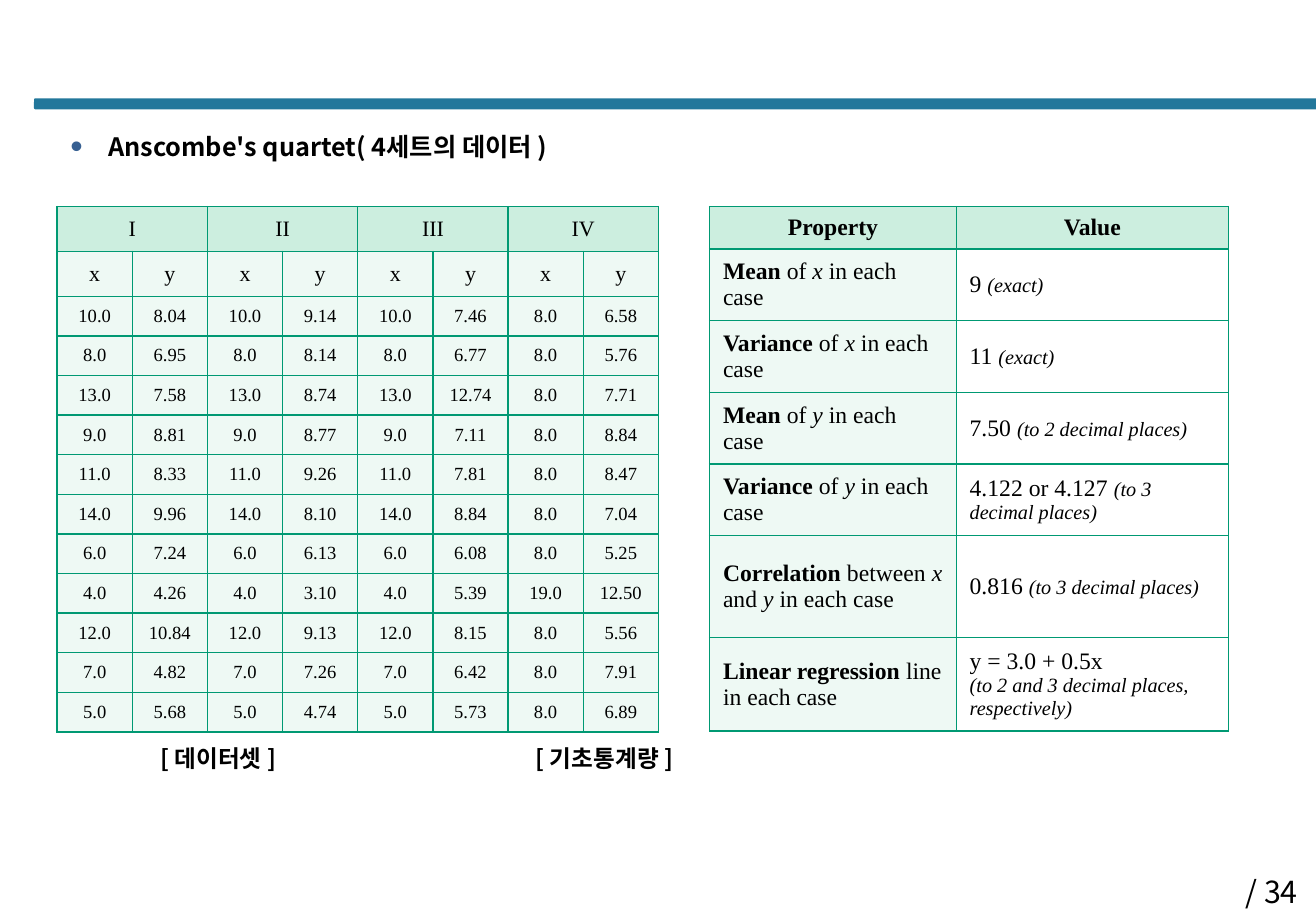
from pptx import Presentation
from pptx import util as u
from pptx.dml.color import RGBColor
from pptx.enum import shapes, text
from pptx.oxml import parse_xml
from pptx.oxml.ns import nsdecls, qn

GOTHIC, SERIF = "Noto Sans CJK KR", "Times New Roman"
BLACK, BAR, BULLET = "000000", "22779B", "376092"
BORDER, HEADER, BODY = "009973", "CCEEDF", "EEF9F4"
LEFT, CENTER, RIGHT = text.PP_ALIGN.LEFT, text.PP_ALIGN.CENTER, text.PP_ALIGN.RIGHT


def color(code):
    return RGBColor.from_string(code)


class Page:
    def __init__(self, slide):
        self.slide = slide

    def format_run(self, run, size, font=GOTHIC, bold=False, italic=False):
        run.font.size = u.Pt(size)
        run.font.name = font
        run.font.bold = bold
        run.font.italic = italic
        run.font.color.rgb = color(BLACK)
        east_asian = run.font._element.makeelement(qn("a:ea"), {"typeface": font})
        run.font._element.append(east_asian)

    def set_insets(self, target, left, top, right, bottom):
        target.margin_left, target.margin_top = u.Inches(left), u.Inches(top)
        target.margin_right, target.margin_bottom = u.Inches(right), u.Inches(bottom)

    def bar(self, left, top, width, height):
        rule = self.slide.shapes.add_shape(
            shapes.MSO_SHAPE.ROUNDED_RECTANGLE,
            u.Inches(left), u.Inches(top), u.Inches(width), u.Inches(height))
        rule.adjustments[0] = 0.13
        rule.shadow.inherit = False
        rule.fill.solid()
        rule.fill.fore_color.rgb = color(BAR)
        rule.line.fill.background()

    def label(self, words, at, size, insets, bold=True, align=LEFT, spacing=1.2):
        """Add a text box and return its paragraph."""
        box = self.slide.shapes.add_textbox(*(u.Inches(length) for length in at))
        frame = box.text_frame
        frame.word_wrap = True
        self.set_insets(frame, *insets)
        frame.text = words
        line = frame.paragraphs[0]
        line.alignment = align
        line.line_spacing = spacing
        self.format_run(line.runs[0], size, bold=bold)
        return line

    def bullet(self, line, indent):
        line.space_before = u.Pt(3)
        props = line._p.get_or_add_pPr()
        props.set("marL", str(u.Inches(indent)))
        props.set("indent", str(-u.Inches(indent)))
        for part in (f'<a:buClr {nsdecls("a")}><a:srgbClr val="{BULLET}"/></a:buClr>',
                     f'<a:buSzPct {nsdecls("a")} val="140000"/>',
                     f'<a:buFont {nsdecls("a")} typeface="Arial"/>',
                     f'<a:buChar {nsdecls("a")} char="•"/>'):
            props.append(parse_xml(part))

    def grid(self, left, top, widths, heights):
        """Add a table with every cell outlined."""
        table = self.slide.shapes.add_table(
            len(heights), len(widths), u.Inches(left), u.Inches(top),
            u.Inches(sum(widths)), u.Inches(sum(heights))).table
        table.first_row = table.horz_banding = False
        for column, width in zip(table.columns, widths):
            column.width = u.Inches(width)
        for row, height in zip(table.rows, heights):
            row.height = u.Inches(height)
        for cell in table.iter_cells():
            for side in ("lnL", "lnR", "lnT", "lnB"):
                cell._tc.get_or_add_tcPr().append(parse_xml(
                    f'<a:{side} {nsdecls("a")} w="{u.Pt(1)}"><a:solidFill>'
                    f'<a:srgbClr val="{BORDER}"/></a:solidFill></a:{side}>'))
            cell.fill.background()
        return table

    def cell(self, cell, lines, insets, fill=None, align=CENTER):
        """Fill a cell; each line is a list of (words, size, style) runs."""
        cell.vertical_anchor = text.MSO_ANCHOR.MIDDLE
        self.set_insets(cell, *insets)
        if fill:
            cell.fill.solid()
            cell.fill.fore_color.rgb = color(fill)
        frame = cell.text_frame
        for index, runs in enumerate(lines):
            line = frame.add_paragraph() if index else frame.paragraphs[0]
            line.alignment = align
            for words, size, style in runs:
                run = line.add_run()
                run.text = words
                self.format_run(run, size, SERIF, style == "bold", style == "italic")


SETS = ["I", "II", "III", "IV"]
SHARED_X = [10, 8, 13, 9, 11, 14, 6, 4, 12, 7, 5]
FOURTH_X = [8] * 7 + [19] + [8] * 3
SET_Y = [
    [8.04, 6.95, 7.58, 8.81, 8.33, 9.96, 7.24, 4.26, 10.84, 4.82, 5.68],
    [9.14, 8.14, 8.74, 8.77, 9.26, 8.10, 6.13, 3.10, 9.13, 7.26, 4.74],
    [7.46, 6.77, 12.74, 7.11, 7.81, 8.84, 6.08, 5.39, 8.15, 6.42, 5.73],
    [6.58, 5.76, 7.71, 8.84, 8.47, 7.04, 5.25, 12.50, 5.56, 7.91, 6.89],
]


def each_case(statistic, variable):
    return [(statistic, 14, "bold"), (" of ", 14, ""), (variable, 14, "italic"),
            (" in each case", 14, "")]


def value(number, note):
    return [[(number + " ", 14, ""), (note, 12, "italic")]]


STATISTICS = [
    (each_case("Mean", "x"), value("9", "(exact)")),
    (each_case("Variance", "x"), value("11", "(exact)")),
    (each_case("Mean", "y"), value("7.50", "(to 2 decimal places)")),
    (each_case("Variance", "y"), value("4.122 or 4.127", "(to 3 decimal places)")),
    ([("Correlation", 14, "bold"), (" between ", 14, ""), ("x", 14, "italic"),
      (" and ", 14, ""), ("y", 14, "italic"), (" in each case", 14, "")],
     value("0.816", "(to 3 decimal places)")),
    ([("Linear regression ", 14, "bold"), ("line in each case", 14, "")],
     [[("y = 3.0 + 0.5x", 14, "")],
      [("(to 2 and 3 decimal places, respectively)", 12, "italic")]]),
]


def add_dataset(page):
    insets = (0.08, 0.04, 0.08, 0.04)
    head_height, points = 0.37, len(SHARED_X)
    point_height = (4.33 - 2 * head_height) / points
    table = page.grid(0.47, 1.7, [4.95 / 8] * 8,
                      [head_height] * 2 + [point_height] * points)
    for index, (name, ys) in enumerate(zip(SETS, SET_Y)):
        x_col, y_col = 2 * index, 2 * index + 1
        table.cell(0, x_col).merge(table.cell(0, y_col))
        page.cell(table.cell(0, x_col), [[(name, 13, "")]], insets, HEADER)
        xs = FOURTH_X if name == "IV" else SHARED_X
        columns = ((x_col, "x", [f"{x:.1f}" for x in xs]),
                   (y_col, "y", [f"{y:.2f}" for y in ys]))
        for col, axis, numbers in columns:
            page.cell(table.cell(1, col), [[(axis, 13, "")]], insets, BODY)
            for row, number in enumerate(numbers, 2):
                page.cell(table.cell(row, col), [[(number, 11, "")]], insets, BODY)


def add_statistics(page):
    insets = (0.11, 0.05, 0.11, 0.05)
    table = page.grid(5.84, 1.7, [2.03, 2.24], [0.35] + [0.59] * 4 + [0.84, 0.77])
    for col, heading in enumerate(("Property", "Value")):
        page.cell(table.cell(0, col), [[(heading, 14, "bold")]], insets, HEADER)
    for row, (name, result) in enumerate(STATISTICS, 1):
        page.cell(table.cell(row, 0), [name], insets, BODY, LEFT)
        page.cell(table.cell(row, 1), result, insets, align=LEFT)


def main():
    deck = Presentation()
    deck.slide_width, deck.slide_height = u.Inches(10.83), u.Inches(7.5)
    page = Page(deck.slides.add_slide(deck.slide_layouts[6]))

    page.bar(0.28, 0.81, 10.58, 0.09)
    topic = page.label("Anscombe's quartet( 4세트의 데이터 )",
                       (0.58, 1.03, 7.13, 0.25), 15, (0, 0, 0, 0))
    page.bullet(topic, 0.31)
    page.label("/ 34", (8.31, 7.19, 2.53, 0.23), 18, (0.1, 0, 0.16, 0),
               bold=False, align=RIGHT, spacing=1.0)
    add_dataset(page)
    add_statistics(page)
    for caption, left in (("[ 데이터셋 ]", 1.22), ("[ 기초통계량 ]", 4.31)):
        page.label(caption, (left, 6.03, 2, 0.36), 14, (0.1, 0.05, 0.1, 0.05))

    deck.save("out.pptx")


if __name__ == "__main__":
    main()
